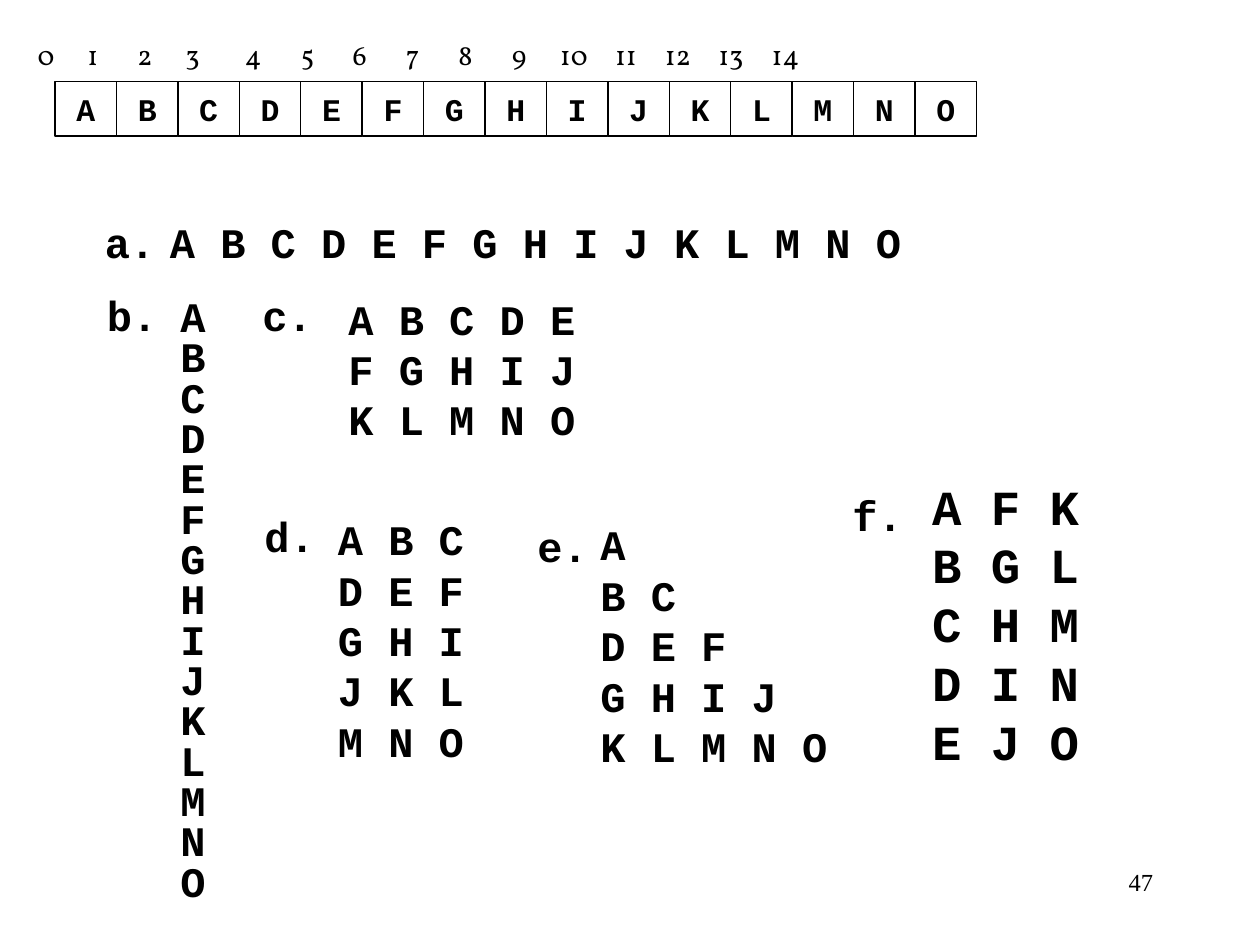
"""Build a slide showing fifteen letters stored in an array and six ways of printing them."""
import pptx
import pptx.dml.color
import pptx.enum.shapes
import pptx.enum.text
import pptx.util
from lxml import etree
from pptx.oxml.ns import qn

Pt = pptx.util.Pt
ALIGN = pptx.enum.text.PP_ALIGN
ANCHOR = pptx.enum.text.MSO_ANCHOR
BLACK = pptx.dml.color.RGBColor(0x00, 0x00, 0x00)
MONO = "Courier New"

LETTERS = "ABCDEFGHIJKLMNO"
INDEX_STOPS = [28.5, 57, 84.5, 118.5, 150.5, 180, 210.5, 240.5, 271, 298.5, 330, 358.5, 389, 419.5]
CELL_LEFT, CELL_TOP, CELL_W, CELL_H = 31.5, 46.5, 35.1, 31.2
LABEL_W, LABEL_H = 43.2, 36

# label, label position, lines, box (left, top, width, height), size, line spacing
PATTERNS = [
    ("a.", (52.8, 120), [" ".join(LETTERS)], (90, 120, 444, 36), 24, None),
    ("b.", (54, 162), list(LETTERS), (96, 168, 36, 353), 24, 0.8),
    ("c.", (142.8, 162), ["A B C D E", "F G H I J", "K L M N O"], (192, 164, 144, 93.6), 24, None),
    ("d.", (144, 288), ["A B C", "D E F", "G H I", "J K L", "M N O"], (186, 290, 100.8, 151), 24, None),
    ("e.", (300, 294), ["A", "B C", "D E F", "G H I J", "K L M N O"], (336, 293, 144, 151), 24, None),
    ("f.", (480, 276), ["A F K", "B G L", "C H M", "D I N", "E J O"], (525.6, 268.5, 100, 175.7), 28, None),
]


def write(sp, text, font=MONO, size=24, bold=True, align=ALIGN.LEFT, anchor=ANCHOR.TOP,
          wrap=False, spacing=None, stops=()):
    tf = sp.text_frame
    tf.word_wrap = wrap
    tf.vertical_anchor = anchor
    for i, line in enumerate(text.split("\n")):
        p = tf.paragraphs[0] if i == 0 else tf.add_paragraph()
        p.alignment = align
        if spacing:
            p.line_spacing = spacing
        if stops:
            tabs = etree.SubElement(p._p.get_or_add_pPr(), qn("a:tabLst"))
            for stop in stops:
                etree.SubElement(tabs, qn("a:tab"), pos=str(Pt(stop)), algn="l")
        r = p.add_run()
        r.text = line
        r.font.name = font
        r.font.size = Pt(size)
        r.font.bold = bold
        r.font.color.rgb = BLACK


def add_text(shapes, box, text, **fmt):
    write(shapes.add_textbox(*map(Pt, box)), text, **fmt)


def add_cell(shapes, i, letter):
    box = (CELL_LEFT + i * CELL_W, CELL_TOP, CELL_W, CELL_H)
    sp = shapes.add_shape(pptx.enum.shapes.MSO_SHAPE.RECTANGLE, *map(Pt, box))
    sp.shadow.inherit = False
    sp.fill.background()
    sp.line.color.rgb = BLACK
    sp.line.width = Pt(0.75)
    write(sp, letter, size=18, align=ALIGN.CENTER, anchor=ANCHOR.MIDDLE)


def main():
    prs = pptx.Presentation()
    prs.slide_width, prs.slide_height = Pt(720), Pt(540)
    s = prs.slides.add_slide(prs.slide_layouts[6])

    array = s.shapes.add_group_shape().shapes
    add_text(array, (14.4, 18, 558, 26.6), "\t".join(map(str, range(len(LETTERS)))),
             font="Vollkorn", size=16, bold=False, stops=INDEX_STOPS)
    for i, letter in enumerate(LETTERS):
        add_cell(array, i, letter)

    for label, corner, lines, box, size, spacing in PATTERNS:
        add_text(s.shapes, (*corner, LABEL_W, LABEL_H), label)
        add_text(s.shapes, box, "\n".join(lines), size=size, spacing=spacing)

    add_text(s.shapes, (516, 492, 150, 36), "47", font="Times New Roman", size=14,
             bold=False, align=ALIGN.RIGHT, wrap=True)
    prs.save("out.pptx")


if __name__ == "__main__":
    main()
